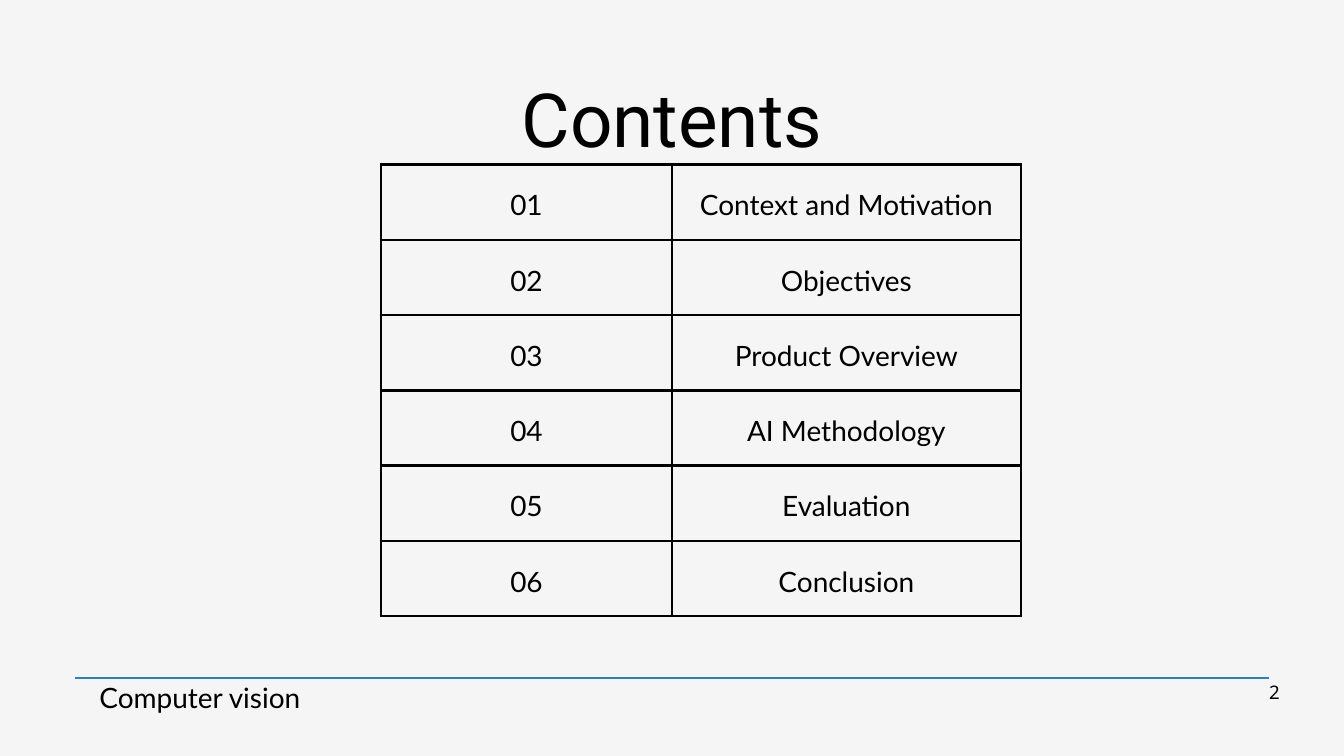
"""Build the contents slide of a computer vision presentation."""
from lxml import etree
from pptx import Presentation
from pptx.dml.color import RGBColor
from pptx.enum import shapes, text
from pptx.oxml import ns
from pptx.util import Inches, Pt

BACKGROUND = RGBColor(0xF5, 0xF5, 0xF5)
BLACK = RGBColor(0, 0, 0)
BLUE = RGBColor(0x25, 0x81, 0xC4)
TOPICS = ["Context and Motivation", "Objectives", "Product Overview",
          "AI Methodology", "Evaluation", "Conclusion"]
ROW_HEIGHT = 1.12


def write(frame, words, font, size, spacing):
    frame.text = words
    paragraph = frame.paragraphs[0]
    paragraph.alignment = text.PP_ALIGN.CENTER
    paragraph.line_spacing = Pt(spacing)
    run_font = paragraph.runs[0].font
    run_font.name = font
    run_font.size = Pt(size)
    run_font.color.rgb = BLACK


def add_borders(cell):
    properties = cell._tc.get_or_add_tcPr()
    for position, side in enumerate(("a:lnL", "a:lnR", "a:lnT", "a:lnB")):
        border = etree.Element(ns.qn(side), w=str(Pt(3)))
        fill = etree.SubElement(border, ns.qn("a:solidFill"))
        etree.SubElement(fill, ns.qn("a:srgbClr"), val=str(BLACK))
        properties.insert(position, border)


prs = Presentation()
prs.slide_width = Inches(20)
prs.slide_height = Inches(11.25)
slide = prs.slides.add_slide(prs.slide_layouts[6])
slide.background.fill.solid()
slide.background.fill.fore_color.rgb = BACKGROUND

footer_rule = slide.shapes.add_connector(
    shapes.MSO_CONNECTOR.STRAIGHT,
    Inches(1.12), Inches(10.09), Inches(18.88), Inches(10.09))
footer_rule.line.color.rgb = BLUE
footer_rule.line.width = Pt(1.5)
etree.SubElement(footer_rule._element.spPr, ns.qn("a:effectLst"))

agenda = slide.shapes.add_table(
    len(TOPICS), 2, Inches(5.67), Inches(2.45),
    Inches(9.52), Inches(ROW_HEIGHT * len(TOPICS))).table
agenda.first_row = False
agenda.horz_banding = False
agenda.columns[0].width = Inches(4.33)
agenda.columns[1].width = Inches(5.19)
for index, topic in enumerate(TOPICS):
    agenda.rows[index].height = Inches(ROW_HEIGHT)
    for column, words in enumerate((f"{index + 1:02}", topic)):
        cell = agenda.cell(index, column)
        cell.fill.background()
        cell.vertical_anchor = text.MSO_ANCHOR.MIDDLE
        cell.margin_left = cell.margin_right = Inches(0.21)
        cell.margin_top = cell.margin_bottom = Inches(0.21)
        write(cell.text_frame, words, "Lato", 30, 42)
        add_borders(cell)

for words, left, top, width, height, font, size, spacing, wrap in (
    ("Contents", 2.1, 1.19, 15.8, 1.27, "Roboto", 80, 88, True),
    ("Computer vision", 1.12, 10.05, 3.71, 0.57, "Lato", 30, 42, True),
    ("2", 18.88, 10.07, 0.17, 0.22, "Noto Sans", 20, 28, False),
):
    frame = slide.shapes.add_textbox(
        Inches(left), Inches(top), Inches(width), Inches(height)).text_frame
    frame.margin_left = frame.margin_right = 0
    frame.margin_top = frame.margin_bottom = 0
    frame.word_wrap = wrap
    frame.auto_size = text.MSO_AUTO_SIZE.SHAPE_TO_FIT_TEXT
    write(frame, words, font, size, spacing)

prs.save("out.pptx")
